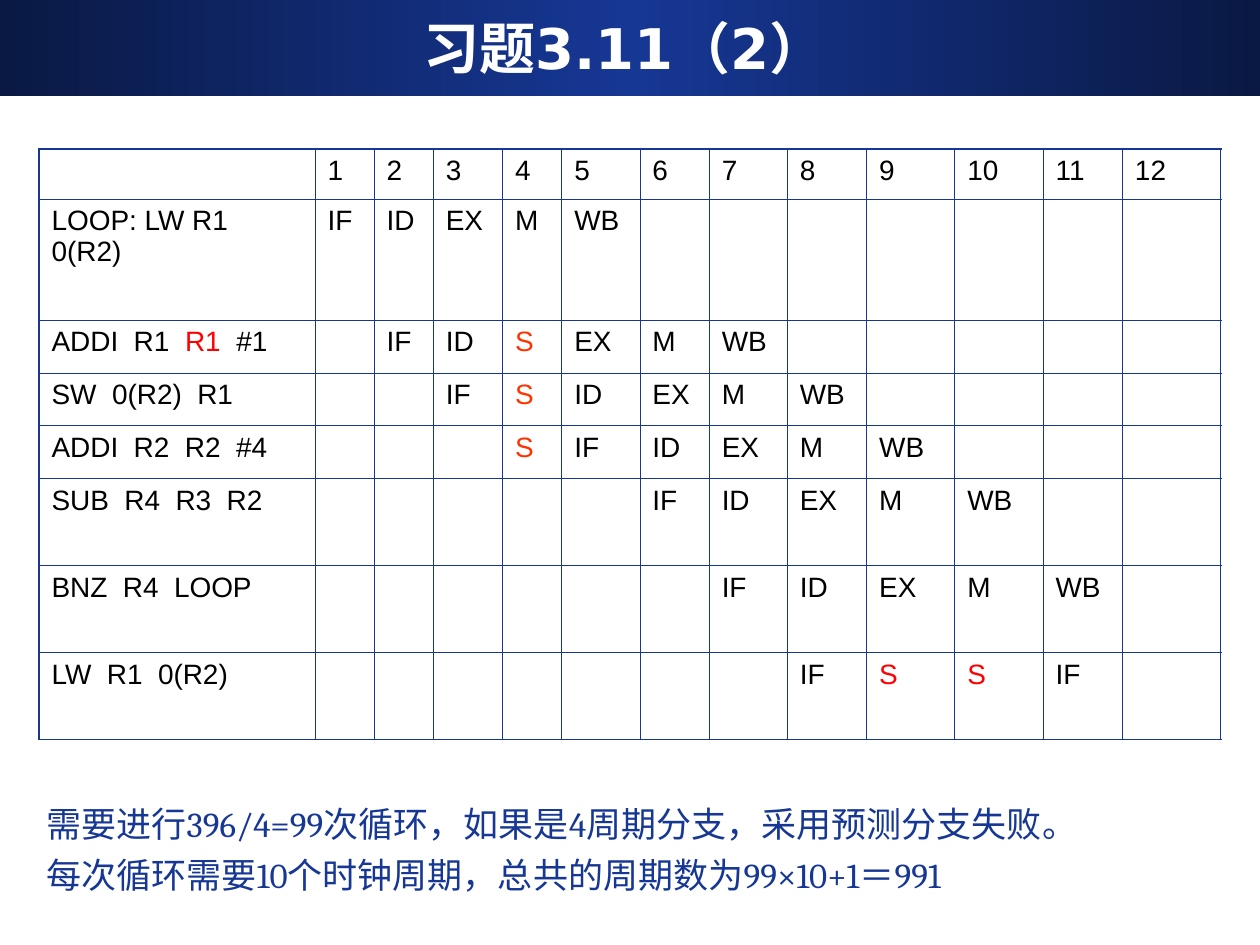
from copy import deepcopy
from dataclasses import dataclass

from pptx import Presentation, dml, util as u
from pptx.dml import color
from pptx.enum import shapes, text
from pptx.oxml import ns, xmlchemy


@dataclass(frozen=True)
class Theme:
    """Colours, fonts, type sizes and line widths of the slide."""
    blue: str = "163794"
    navy: str = "0A1944"
    white: str = "FFFFFF"
    black: str = "000000"
    red: str = "FF0000"
    stall: str = "FF3300"
    head: tuple = ("DejaVu Sans", 32)
    note: tuple = ("Cambria", 20)
    grid: tuple = ("Arial", 16)
    thin: float = 0.45
    thick: float = 1.08


T = Theme()
COLS = (2.19, 0.47, 0.47, 0.55, 0.47, 0.62, 0.55, 0.62, 0.63, 0.7, 0.7, 0.63, 0.78)
ROWS = (0.37, 0.96, *[0.42] * 3, *[0.69] * 3)
STEPS = (
    ("LOOP: LW R1 0(R2)", 1, "IF ID EX M WB", T.stall),
    ("ADDI  R1  |R1 | #1", 2, "IF ID S EX M WB", T.stall),
    ("SW  0(R2)  R1", 3, "IF S ID EX M WB", T.stall),
    ("ADDI  R2  R2  #4", 4, "S IF ID EX M WB", T.stall),
    ("SUB  R4  R3  R2", 6, "IF ID EX M WB", T.stall),
    ("BNZ  R4  LOOP", 7, "IF ID EX M WB", T.stall),
    ("LW  R1  0(R2)", 8, "IF S S IF", T.red),
)
NOTES = (
    "需要进行396/4=99次循环，如果是4周期分支，采用预测分支失败。",
    "每次循环需要10个时钟周期，总共的周期数为99×10+1＝991",
)


def rgb(tone):
    """Return a colour from its hex code."""
    return color.RGBColor.from_string(tone)


def style(run, face, tone, bold=False):
    """Set the font, size, colour and weight of a run."""
    font = run.font
    font.name, size = face
    font.size = u.Pt(size)
    font.bold = bold
    font.color.rgb = rgb(tone)


def title(slide, box):
    """Draw the shaded band with the centred title."""
    left, top, width, height = box
    band = slide.shapes.add_shape(shapes.MSO_SHAPE.RECTANGLE, *map(u.Inches, box))
    band.shadow.inherit = False
    band.line.fill.background()
    band.fill.gradient()
    band.fill.gradient_angle = 0
    stops = band._element.spPr.find(".//" + ns.qn("a:gsLst"))
    stops.append(deepcopy(stops[-1]))
    for stop, spot, tone in zip(band.fill.gradient_stops, (0, 0.5, 1), (T.navy, T.blue, T.navy)):
        stop.position = spot
        stop.color.rgb = rgb(tone)
    area = (left + 0.33, top + 0.06, width - 0.75, height - 0.14)
    frame = slide.shapes.add_textbox(*map(u.Inches, area)).text_frame
    frame.word_wrap = True
    frame.vertical_anchor = text.MSO_ANCHOR.MIDDLE
    frame.text = "习题3.11（2）"
    para = frame.paragraphs[0]
    para.alignment = text.PP_ALIGN.CENTER
    style(para.runs[0], T.head, T.white, True)


def edge(cell, side, width):
    """Add one border line to a cell."""
    line = xmlchemy.OxmlElement("a:ln" + side)
    line.set("w", str(u.Pt(width)))
    fill = xmlchemy.OxmlElement("a:solidFill")
    tone = xmlchemy.OxmlElement("a:srgbClr")
    tone.set("val", T.blue)
    fill.append(tone)
    line.append(fill)
    cell._tc.get_or_add_tcPr().append(line)


def write(cell, parts):
    """Fill a cell with runs given as words and colour."""
    para = cell.text_frame.paragraphs[0]
    para.space_before = u.Pt(4)
    for words, tone in parts:
        run = para.add_run()
        run.text = words
        style(run, T.grid, tone)


def chart(slide, box):
    """Draw the pipeline table of instructions against clock cycles."""
    frame = slide.shapes.add_table(len(ROWS), len(COLS), *map(u.Inches, box))
    grid = frame.table
    grid.first_row = grid.horz_banding = False
    for col, width in zip(grid.columns, COLS):
        col.width = u.Inches(width)
    for row, height in zip(grid.rows, ROWS):
        row.height = u.Inches(height)
    last, end = len(ROWS) - 1, len(COLS) - 1
    for r in range(last + 1):
        for c in range(end + 1):
            cell = grid.cell(r, c)
            rims = {"L": c == 0, "R": c == end, "T": r == 0, "B": r == last}
            for side, rim in rims.items():
                edge(cell, side, T.thick if rim else T.thin)
            cell.fill.background()
    for c in range(1, end + 1):
        write(grid.cell(0, c), [(str(c), T.black)])
    for r, (label, start, stages, stall) in enumerate(STEPS, 1):
        parts = zip(label.split("|"), (T.black, T.red, T.black))
        write(grid.cell(r, 0), parts)
        for c, stage in enumerate(stages.split(), start):
            write(grid.cell(r, c), [(stage, stall if stage == "S" else T.black)])


def notes(slide, box):
    """Write the concluding lines under the table."""
    frame = slide.shapes.add_textbox(*map(u.Inches, box)).text_frame
    frame.word_wrap = True
    frame.text = "\n".join(NOTES)
    for para in frame.paragraphs:
        para.space_before = u.Pt(5)
        style(para.runs[0], T.note, T.blue)


def main():
    """Build and save the slide."""
    deck = Presentation()
    deck.slide_width, deck.slide_height = u.Inches(10), u.Inches(7.5)
    slide = deck.slides.add_slide(deck.slide_layouts[6])
    title(slide, (0, 0, 10, 0.76))
    notes(slide, (0.27, 6.32, 9.49, 0.87))
    chart(slide, (0.31, 1.18, sum(COLS), sum(ROWS)))
    deck.save("out.pptx")


if __name__ == "__main__":
    main()
